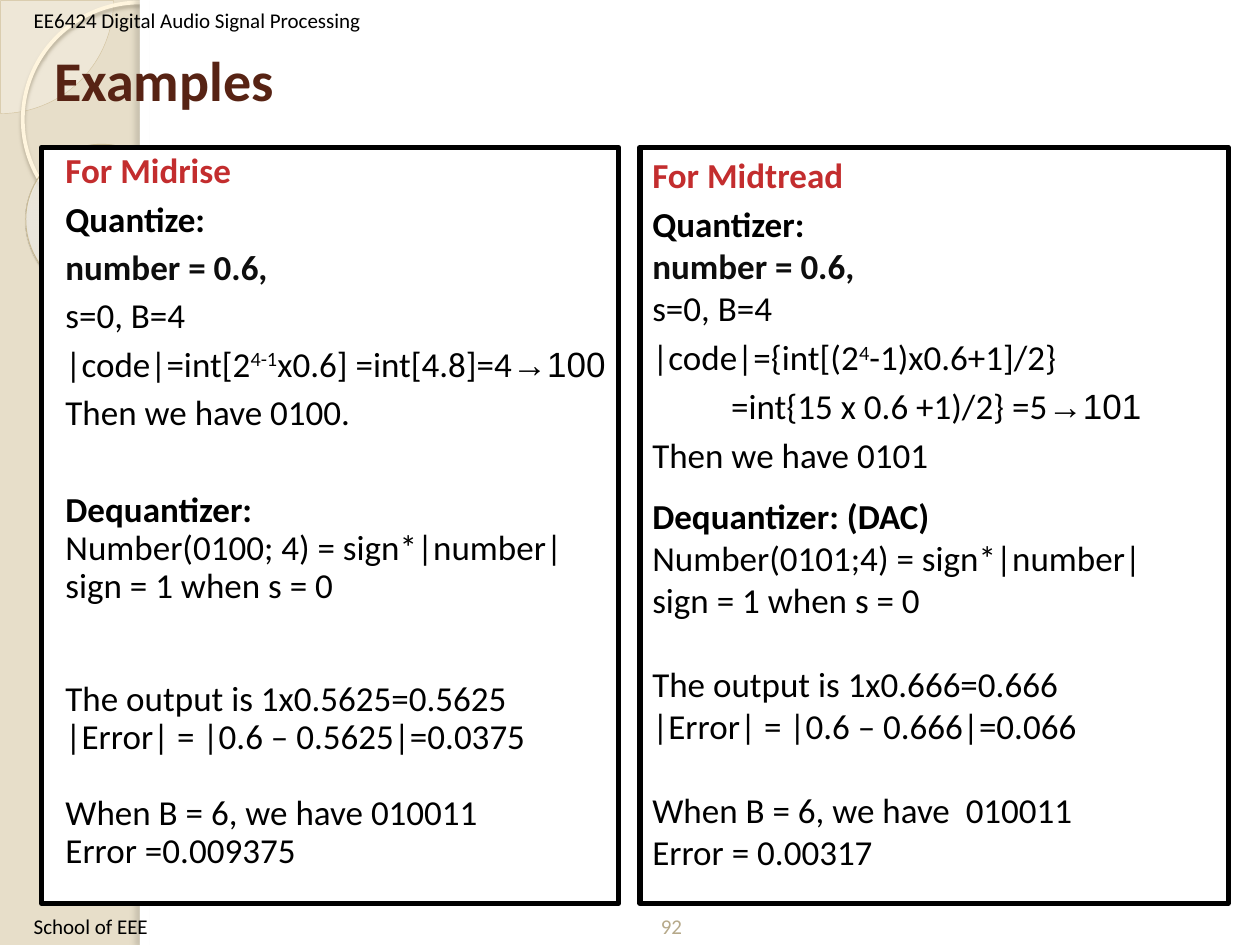
from dataclasses import dataclass

from lxml import etree
from pptx import Presentation
from pptx.dml.color import RGBColor
from pptx.enum.shapes import MSO_SHAPE
from pptx.enum.text import MSO_ANCHOR, PP_ALIGN
from pptx.oxml import parse_xml
from pptx.oxml.ns import nsdecls, qn
from pptx.util import Cm, Pt

RECTANGLE, OVAL = MSO_SHAPE.RECTANGLE, MSO_SHAPE.OVAL
PIE, DONUT = MSO_SHAPE.PIE, MSO_SHAPE.DONUT
TOP, MIDDLE, BOTTOM = MSO_ANCHOR.TOP, MSO_ANCHOR.MIDDLE, MSO_ANCHOR.BOTTOM
LEFT, CENTER = PP_ALIGN.LEFT, PP_ALIGN.CENTER

SAND = RGBColor(0xE7, 0xDE, 0xC9)
CREAM = RGBColor(0xFE, 0xFA, 0xF4)
PIE_EDGE = RGBColor(0xD3, 0xC3, 0x9F)
RING_EDGE = RGBColor(0xFF, 0xF5, 0xDE)
DONUT_EDGE = RGBColor(0xC7, 0xB8, 0x93)
RING_SHADOW = RGBColor(0xB0, 0xA6, 0x8F)
DONUT_SHADOW = RGBColor(0x5A, 0x54, 0x44)
STRIP_SHADOW = RGBColor(0x73, 0x6F, 0x63)
WHITE = RGBColor(0xFF, 0xFF, 0xFF)
BLACK = RGBColor(0, 0, 0)
SOFT_BLACK = RGBColor(0x0D, 0x0D, 0x0D)
RED = RGBColor(0xC3, 0x2D, 0x2E)
BROWN = RGBColor(0x57, 0x23, 0x14)
TAN = RGBColor(0xB6, 0xA9, 0x8A)


@dataclass
class Segment:
    """A piece of text with one look."""
    text: str
    color: RGBColor = BLACK
    bold: bool = False
    raised: bool = False
    font: str = "Calibri"
    size: float = 20


@dataclass
class Line:
    """A paragraph of segments with the space above it in points."""
    space: float
    segments: list
    indent: float = 0


def plain(space, text):
    """Return a line of plain text."""
    return Line(space, [Segment(text)])


def strong(space, text, color=BLACK):
    """Return a line of bold text."""
    return Line(space, [Segment(text, color, True)])


MIDRISE = [
    strong(0, "For Midrise", RED),
    strong(6, "Quantize:"),
    strong(6, "number = 0.6,", SOFT_BLACK),
    plain(6, "s=0, B=4"),
    Line(6, [Segment("|code|=int[2"), Segment("4-1", raised=True),
             Segment("x0.6] =int[4.8]=4"), Segment("→100", font="Arial")]),
    plain(6, "Then we have 0100."),
    strong(34, "Dequantizer:"),
    plain(0, "Number(0100; 4) = sign*|number|"),
    plain(0, "sign = 1 when s = 0"),
    plain(43, "The output is 1x0.5625=0.5625"),
    plain(0, "|Error| = |0.6 – 0.5625|=0.0375"),
    plain(22, "When B = 6, we have 010011"),
    plain(0, "Error =0.009375"),
]
MIDTREAD = [
    strong(0, "For Midtread", RED),
    strong(4, "Quantizer:"),
    strong(0, "number = 0.6,", SOFT_BLACK),
    plain(0, "s=0, B=4"),
    Line(4, [Segment("|code|={int[(2"), Segment("4", raised=True),
             Segment("-1)x0.6+1]/2}")]),
    Line(4, [Segment("=int{15 x 0.6 +1)/2} =5"), Segment("→101", font="Arial")], 1.59),
    plain(4, "Then we have 0101"),
    strong(11, "Dequantizer: (DAC)"),
    plain(0, "Number(0101;4) = sign*|number|"),
    plain(0, "sign = 1 when s = 0"),
    plain(24, "The output is 1x0.666=0.666"),
    plain(0, "|Error| = |0.6 – 0.666|=0.066"),
    plain(24, "When B = 6, we have  010011"),
    plain(0, "Error = 0.00317"),
]


def add_preset(slide, kind, box, fill=None, line=None, width=0):
    """Add a preset shape with the given fill and outline."""
    shape = slide.shapes.add_shape(kind, *(Cm(value) for value in box))
    shape.shadow.inherit = False
    if fill is None:
        shape.fill.background()
    else:
        shape.fill.solid()
        shape.fill.fore_color.rgb = fill
    if line is None:
        shape.line.fill.background()
    else:
        shape.line.color.rgb = line
        shape.line.width = Pt(width)
    return shape


def add_shadow(shape, color, opacity, blur, distance, angle):
    """Give a shape an outer shadow."""
    effects = shape._element.spPr.find(qn("a:effectLst"))
    effects.append(parse_xml(
        f'<a:outerShdw {nsdecls("a")} blurRad="{Pt(blur)}" dist="{Pt(distance)}" '
        f'dir="{angle * 60000}" algn="tl" rotWithShape="0"><a:srgbClr val="{color}">'
        f'<a:alpha val="{opacity * 1000}"/></a:srgbClr></a:outerShdw>'))


def add_decoration(slide, left, top, width, height):
    """Draw the ornaments of the side band and the white page beside it."""
    pie = add_preset(slide, PIE, (left - 2.26, top - 2.26, 4.55, 4.55), CREAM, PIE_EDGE, 0.25)
    pie.adjustments[0], pie.adjustments[1] = 0, 54.02
    color = pie._element.spPr.find(qn("a:solidFill"))[0]
    etree.SubElement(color, qn("a:alpha")).set("val", "33000")

    ring = add_preset(slide, OVAL, (left + 0.46, top + 0.05, 4.72, 4.72), None, RING_EDGE, 2.15)
    add_shadow(ring, RING_SHADOW, 85, 2, 2, 90)

    donut = add_preset(slide, DONUT, (left + 0.51, top + 2.92, 3.12, 3.07),
                       CREAM, DONUT_EDGE, 0.58)
    donut.adjustments[0] = 0.12
    donut.rotation = 38.6
    add_shadow(donut, DONUT_SHADOW, 35, 1, 1.2, 75)
    stops = "".join(
        f'<a:gs pos="{place}000"><a:srgbClr val="{tint}"><a:alpha val="{alpha}000"/></a:srgbClr></a:gs>'
        for place, tint, alpha in ((0, "FFFCF6", 70), (70, "FFFEFB", 55), (100, "F0D28E", 60)))
    properties = donut._element.spPr
    properties.replace(properties.find(qn("a:solidFill")), parse_xml(
        f'<a:gradFill {nsdecls("a")}><a:gsLst>{stops}</a:gsLst><a:path path="circle">'
        '<a:fillToRect l="-408000" t="-50000" r="508000" b="150000"/></a:path></a:gradFill>'))

    page_left = left + 2.82
    add_preset(slide, RECTANGLE, (page_left, top, width - 2.82, height), WHITE)
    strip = add_preset(slide, RECTANGLE, (page_left, top, 0.2, height), WHITE)
    add_shadow(strip, STRIP_SHADOW, 25, 3, 3, 180)


def add_segments(paragraph, segments):
    """Fill a paragraph run by run."""
    for segment in segments:
        run = paragraph.add_run()
        run.text = segment.text
        run.font.name = segment.font
        run.font.size = Pt(segment.size)
        run.font.bold = segment.bold
        run.font.color.rgb = segment.color
        if segment.raised:
            run._r.get_or_add_rPr().set("baseline", "30000")


def add_label(slide, box, segment, anchor=BOTTOM, alignment=LEFT):
    """Add a text box with one line of text."""
    frame = slide.shapes.add_textbox(*(Cm(value) for value in box)).text_frame
    frame.word_wrap = True
    frame.vertical_anchor = anchor
    frame.paragraphs[0].alignment = alignment
    add_segments(frame.paragraphs[0], [segment])


def add_panel(slide, box, lines, inset, spacing):
    """Add a framed panel with its worked example."""
    panel = add_preset(slide, RECTANGLE, box, WHITE, BLACK, 3)
    frame = panel.text_frame
    frame.word_wrap = True
    frame.vertical_anchor = TOP
    frame.margin_left, frame.margin_right = Cm(inset), Cm(0.1)
    for index, line in enumerate(lines):
        paragraph = frame.add_paragraph() if index else frame.paragraphs[0]
        paragraph.alignment = LEFT
        paragraph.line_spacing = spacing
        paragraph.space_before = Pt(line.space)
        if line.indent:
            paragraph._p.get_or_add_pPr().set("marL", str(Cm(line.indent)))
        add_segments(paragraph, line.segments)


def main():
    """Build the slide and save it."""
    presentation = Presentation()
    presentation.slide_width, presentation.slide_height = Cm(25.4), Cm(19.05)
    slide = presentation.slides.add_slide(presentation.slide_layouts[6])
    slide.background.fill.solid()
    slide.background.fill.fore_color.rgb = SAND
    add_decoration(slide, 0, 0, 25.4, 19.05)
    add_label(slide, (0.43, 0.13, 9.3, 0.66),
              Segment("EE6424 Digital Audio Signal Processing", size=12))
    add_label(slide, (0.84, 0, 22.73, 3.18), Segment("Examples", BROWN, True, size=32), MIDDLE)
    add_panel(slide, (0.84, 2.97, 11.63, 15.24), MIDRISE, 0.48, 0.9)
    add_panel(slide, (12.9, 2.97, 11.86, 15.24), MIDTREAD, 0.25, 1.0)
    add_label(slide, (0.43, 17.73, 8.05, 1.32), Segment("School of EEE", size=12))
    add_label(slide, (12.9, 17.73, 1.27, 1.32), Segment("92", TAN, size=12), alignment=CENTER)
    presentation.save("out.pptx")


if __name__ == "__main__":
    main()
